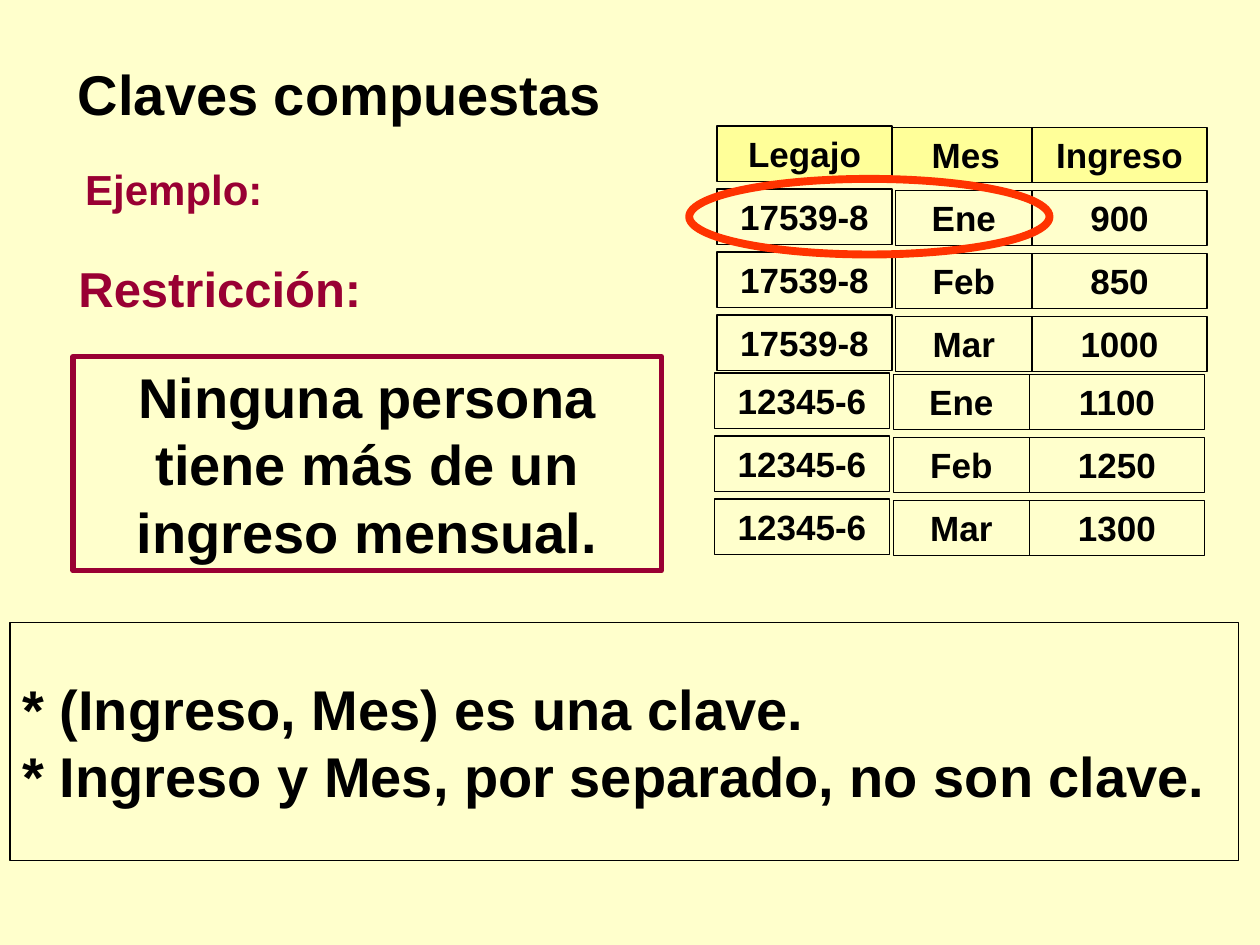
from pptx import Presentation
from pptx.dml.color import RGBColor
from pptx.enum.shapes import MSO_SHAPE as Shape
from pptx.enum.text import MSO_ANCHOR as Anchor, PP_ALIGN as Align
from pptx.util import Inches, Pt

COLORS = {
    "background": "FFFFCC",
    "header": "FFFF99",
    "ink": "000000",
    "accent": "990033",
    "highlight": "FF3300",
}

HEADERS = ["Legajo", "Mes", "Ingreso"]
BLOCKS = [
    (0, 1.51, [("17539-8", "Ene", "900"),
               ("17539-8", "Feb", "850"),
               ("17539-8", "Mar", "1000")]),
    (-0.02, 2.97, [("12345-6", "Ene", "1100"),
                   ("12345-6", "Feb", "1250"),
                   ("12345-6", "Mar", "1300")]),
]
HEADER_COLUMNS = [(5.69, 1.39), (7.08, 1.17), (8.19, 1.39)]
COLUMNS = [(5.69, 1.39), (7.11, 1.08), (8.19, 1.39)]
COLUMN_SHIFTS = [-0.01, 0, 0]
HEADER_TOP, ROW_PITCH, ROW_HEIGHT = 1.01, 0.5, 0.44

LABELS = [
    ("Claves compuestas", (0.52, 0.42, 4.39, 0.64), 32, "ink", Align.LEFT),
    ("Ejemplo:", (0.17, 1.25, 2.42, 0.5), 24, "accent", Align.CENTER),
    ("Restricción:", (0.33, 2, 2.83, 0.57), 28, "accent", Align.CENTER),
]
RESTRICTION = "Ninguna persona tiene más de un ingreso mensual."
CONCLUSIONS = """* (Ingreso, Mes) es una clave.
* Ingreso y Mes, por separado, no son clave."""


def color(name):
    return RGBColor.from_string(COLORS[name])


def write(holder, text, size, ink="ink", align=Align.CENTER, anchor=Anchor.TOP):
    frame = holder.text_frame
    frame.word_wrap = True
    frame.vertical_anchor = anchor
    paragraph = frame.paragraphs[0]
    paragraph.text = text
    paragraph.alignment = align
    font_format = {"name": "Arial", "size": Pt(size), "bold": True}
    for run in paragraph.runs:
        for attribute, value in font_format.items():
            setattr(run.font, attribute, value)
        run.font.color.rgb = color(ink)


def outline(slide, kind, place, line="ink", width=0.75, fill=None):
    shape = slide.shapes.add_shape(kind, *map(Inches, place))
    shape.shadow.inherit = False
    if fill:
        shape.fill.solid()
        shape.fill.fore_color.rgb = color(fill)
    else:
        shape.fill.background()
    shape.line.color.rgb = color(line)
    shape.line.width = Pt(width)
    return shape


def add_row(slide, texts, columns, top, shift=0, fill=None):
    for text, (left, width), rise in zip(texts, columns, COLUMN_SHIFTS):
        place = (left + shift, top + rise, width, ROW_HEIGHT)
        write(outline(slide, Shape.RECTANGLE, place, fill=fill), text, 20)


def main():
    deck = Presentation()
    deck.slide_width, deck.slide_height = Inches(10), Inches(7.5)
    slide = deck.slides.add_slide(deck.slide_layouts[6])
    slide.background.fill.solid()
    slide.background.fill.fore_color.rgb = color("background")

    add_row(slide, HEADERS, HEADER_COLUMNS, HEADER_TOP, fill="header")
    for shift, top, rows in BLOCKS:
        for index, row in enumerate(rows):
            add_row(slide, row, COLUMNS, top + index * ROW_PITCH, shift)

    outline(slide, Shape.OVAL, (5.47, 1.42, 2.86, 0.6), "highlight", 4.5)

    for text, place, size, ink, align in LABELS:
        label = slide.shapes.add_textbox(*map(Inches, place))
        write(label, text, size, ink, align)

    restriction = outline(slide, Shape.RECTANGLE, (0.58, 2.83, 4.67, 1.7), "accent", 3)
    write(restriction, RESTRICTION, 32)

    conclusions = outline(slide, Shape.RECTANGLE, (0.08, 4.94, 9.75, 1.89))
    write(conclusions, CONCLUSIONS, 32, align=Align.LEFT, anchor=Anchor.MIDDLE)

    deck.save("out.pptx")


if __name__ == "__main__":
    main()
